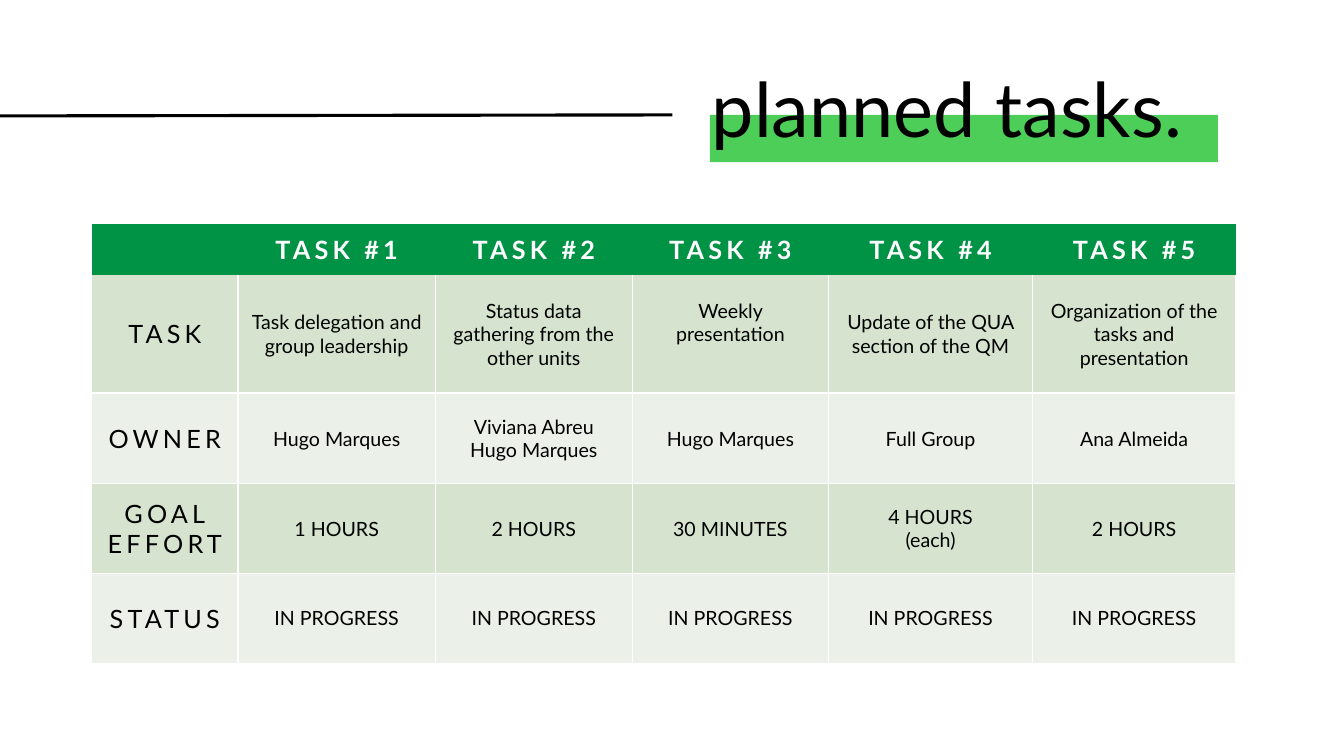
from lxml import etree
from pptx import Presentation
from pptx.dml.color import RGBColor
from pptx.enum import shapes, text
from pptx.oxml import ns
from pptx.util import Inches, Pt

FONT = "Lato"
BLACK, WHITE = "000000", "FFFFFF"
HIGHLIGHT, HEADER = "4DCE59", "009245"
BANDS = ["D5E3CF", "EBF1E9"]
COL_WIDTHS = [1.45, 1.96, 1.95, 1.95, 2.02, 2.02]
ROW_HEIGHTS = [0.51, 1.17, 0.9, 0.89, 0.89]
ROWS = [
    [""] + [f"TASK #{n}" for n in range(1, 6)],
    ["TASK", "Task delegation and group leadership",
     "Status data gathering from the other units", "Weekly presentation",
     "Update of the QUA section of the QM",
     "Organization of the tasks and presentation"],
    ["OWNER", "Hugo Marques", "Viviana Abreu\nHugo Marques", "Hugo Marques",
     "Full Group", "Ana Almeida"],
    ["GOAL\nEFFORT", "1 HOURS", "2 HOURS", "30 MINUTES", "4 HOURS\n(each)",
     "2 HOURS"],
    ["STATUS"] + ["IN PROGRESS"] * 5,
]


def rgb(color):
    return RGBColor.from_string(color)


def add_run(p, words, size, color=BLACK, bold=False, spacing=0):
    r = p.add_run()
    r.text = words
    r.font.name = FONT
    r.font.size = Pt(size)
    r.font.bold = bold
    r.font.color.rgb = rgb(color)
    if spacing:
        r.font._element.set("spc", str(spacing * 100))


def add_bar(slide, left, top, width, height, color):
    sp = slide.shapes.add_shape(shapes.MSO_SHAPE.RECTANGLE, Inches(left),
                                Inches(top), Inches(width), Inches(height))
    sp.shadow.inherit = False
    sp.fill.solid()
    sp.fill.fore_color.rgb = rgb(color)
    sp.line.fill.background()


def add_line(slide, x1, y1, x2, y2, color, width):
    line = slide.shapes.add_connector(
        shapes.MSO_CONNECTOR.STRAIGHT,
        Inches(x1), Inches(y1), Inches(x2), Inches(y2))
    line.line.color.rgb = rgb(color)
    line.line.width = Pt(width)
    etree.SubElement(line._element.spPr, ns.qn("a:effectLst"))


def add_title(slide, left, top, width, height, words):
    sp = slide.shapes.add_textbox(Inches(left), Inches(top),
                                  Inches(width), Inches(height))
    tf = sp.text_frame
    tf.word_wrap = True
    tf.vertical_anchor = text.MSO_ANCHOR.MIDDLE
    p = tf.paragraphs[0]
    p.line_spacing = 0.9
    add_run(p, words, 54)


def set_borders(cell, visible):
    tc_pr = cell._tc.get_or_add_tcPr()
    for i, side in enumerate("LRTB"):
        ln = etree.Element(ns.qn(f"a:ln{side}"), w=str(Pt(1)))
        if side in visible:
            fill = etree.SubElement(ln, ns.qn("a:solidFill"))
            etree.SubElement(fill, ns.qn("a:srgbClr"), val=WHITE)
        else:
            etree.SubElement(ln, ns.qn("a:noFill"))
        tc_pr.insert(i, ln)


def fill_cell(cell, words, fill, borders, **style):
    cell.fill.solid()
    cell.fill.fore_color.rgb = rgb(fill)
    cell.vertical_anchor = text.MSO_ANCHOR.MIDDLE
    set_borders(cell, borders)
    tf = cell.text_frame
    for i, words_line in enumerate(words.split("\n") if words else []):
        p = tf.add_paragraph() if i else tf.paragraphs[0]
        p.alignment = text.PP_ALIGN.CENTER
        add_run(p, words_line, **style)


def add_task_table(slide, left, top):
    frame = slide.shapes.add_table(
        len(ROWS), len(COL_WIDTHS), Inches(left), Inches(top),
        Inches(sum(COL_WIDTHS)), Inches(sum(ROW_HEIGHTS)))
    table = frame.table
    table.horz_banding = False
    for column, width in zip(table.columns, COL_WIDTHS):
        column.width = Inches(width)
    for i, (row, height) in enumerate(zip(table.rows, ROW_HEIGHTS)):
        row.height = Inches(height)
        fill = BANDS[(i - 1) % 2] if i else HEADER
        borders = ["", "LRB"][i] if i < 2 else "LRTB"
        for j, words in enumerate(ROWS[i]):
            if i == 0:
                style = dict(size=18, color=WHITE, bold=True, spacing=3)
            elif j == 0:
                style = dict(size=18, spacing=3)
            else:
                style = dict(size=14)
            fill_cell(table.cell(i, j), words, fill, borders, **style)
    table.cell(1, 3).margin_bottom = Inches(0.28)


def main():
    prs = Presentation()
    prs.slide_width = Inches(13.33)
    prs.slide_height = Inches(7.5)
    slide = prs.slides.add_slide(prs.slide_layouts[6])
    add_bar(slide, 7.04, 1.14, 5.04, 0.47, HIGHLIGHT)
    add_task_table(slide, 0.91, 2.22)
    add_line(slide, 0, 1.15, 6.67, 1.14, BLACK, 2.25)
    add_title(slide, 6.96, 0.4, 5.45, 1.45, "planned tasks.")
    prs.save("out.pptx")


if __name__ == "__main__":
    main()
